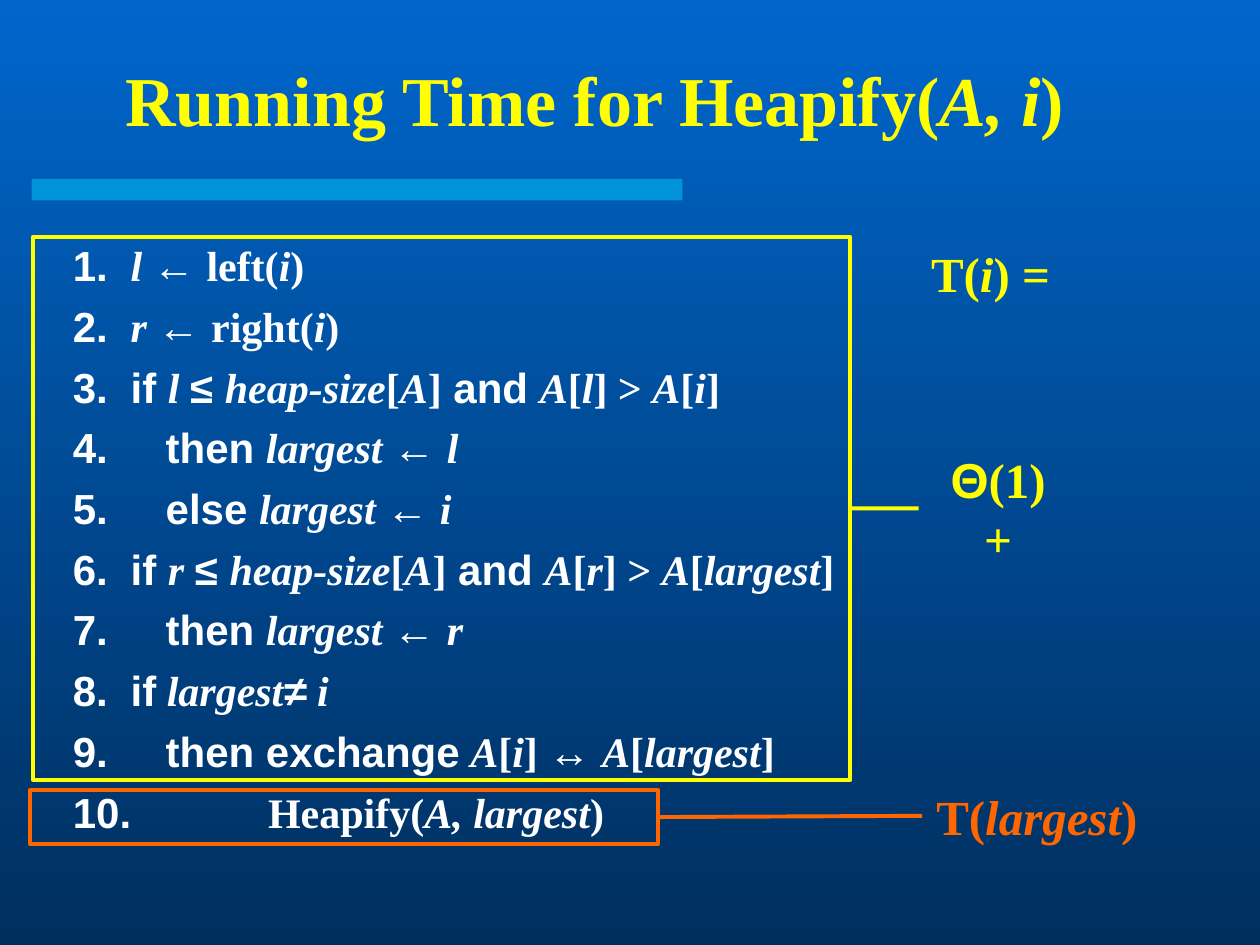
from dataclasses import dataclass

from lxml import etree
from pptx import Presentation
from pptx.dml.color import RGBColor
from pptx.enum.shapes import MSO_CONNECTOR, MSO_SHAPE
from pptx.enum.text import MSO_ANCHOR, PP_ALIGN
from pptx.oxml.ns import qn
from pptx.util import Pt

RECT = MSO_SHAPE.RECTANGLE
STRAIGHT = MSO_CONNECTOR.STRAIGHT
MIDDLE = MSO_ANCHOR.MIDDLE
TOP = MSO_ANCHOR.TOP
CENTER = PP_ALIGN.CENTER
LEFT_SIDE, RIGHT_SIDE = 1, 3

YELLOW = RGBColor(0xFF, 0xFF, 0x00)
ORANGE = RGBColor(0xFF, 0x66, 0x00)
WHITE = RGBColor(0xFF, 0xFF, 0xFF)
CYAN = RGBColor(0x00, 0xCC, 0xFF)
SKY = RGBColor(0x00, 0x66, 0xCC)
NAVY = RGBColor(0x00, 0x2F, 0x5E)

ARIAL = "Arial"
TIMES = "Times New Roman"


@dataclass(frozen=True)
class Run:
    text: str
    font: str = TIMES
    italic: bool = False


@dataclass(frozen=True)
class Box:
    left: float
    top: float
    width: float
    height: float


@dataclass(frozen=True)
class CodeLine:
    indent: float
    runs: list[Run]


@dataclass(frozen=True)
class Cost:
    frame: Box
    label: Box
    runs: list[Run]
    color: RGBColor


def kw(text: str) -> Run:
    return Run(text, ARIAL)


def var(text: str) -> Run:
    return Run(text, italic=True)


def item(array: str, index: str) -> list[Run]:
    return [var(array), Run("["), var(index), Run("]")]


def call(name: str, args: str) -> list[Run]:
    return [Run(name + "("), var(args), Run(")")]


def bound_test(number: str, child: str, rival: str) -> list[Run]:
    return [kw(f"{number}.\tif "), var(child + " "), kw("≤ "),
            *item("heap-size", "A"), kw(" and "), *item("A", child),
            Run(" > "), *item("A", rival)]


def assign(label: str, target: str, value: list[Run]) -> list[Run]:
    return [kw(label), var(target + " "), kw("← "), *value]


STEP, NESTED, DEEP = 33, 53, 111.5

CODE = [
    CodeLine(STEP, assign("1.\t", "l", call("left", "i"))),
    CodeLine(STEP, assign("2.\t", "r", call("right", "i"))),
    CodeLine(STEP, bound_test("3", "l", "i")),
    CodeLine(NESTED, assign("4.\tthen ", "largest", [var("l")])),
    CodeLine(NESTED, assign("5.\telse ", "largest", [var("i")])),
    CodeLine(STEP, bound_test("6", "r", "largest")),
    CodeLine(NESTED, assign("7.\tthen ", "largest", [var("r")])),
    CodeLine(STEP, [kw("8.\tif"), var(" largest"), Run("≠", ARIAL, True), var(" i")]),
    CodeLine(NESTED, [kw("9.\tthen exchange"), Run(" "), *item("A", "i"), Run(" "),
                      Run("↔ ", ARIAL), *item("A", "largest")]),
    CodeLine(DEEP, [kw("10.\t"), *call("Heapify", "A, largest")]),
]

COSTS = [
    Cost(Box(18.7, 135.4, 467.3, 310.3), Box(525, 270, 90.7, 41),
         [kw("Θ"), Run("(1) +")], YELLOW),
    Cost(Box(17.3, 451.4, 358.6, 31), Box(527, 445.7, 131, 41),
         call("T", "largest"), ORANGE),
]


def add_runs(p, runs: list[Run], size: float, color: RGBColor) -> None:
    for run in runs:
        r = p.add_run()
        r.text = run.text
        r.font.name = run.font
        r.font.size = Pt(size)
        r.font.bold = True
        r.font.italic = run.italic
        r.font.color.rgb = color


def add_text_box(s, box: Box, anchor):
    sp = s.shapes.add_textbox(Pt(box.left), Pt(box.top), Pt(box.width), Pt(box.height))
    sp.text_frame.word_wrap = True
    sp.text_frame.vertical_anchor = anchor
    return sp


def add_label(s, box: Box, runs: list[Run], size: float, color: RGBColor):
    sp = add_text_box(s, box, MIDDLE)
    p = sp.text_frame.paragraphs[0]
    p.alignment = CENTER
    add_runs(p, runs, size, color)
    return sp


def add_rect(s, box: Box):
    sp = s.shapes.add_shape(RECT, Pt(box.left), Pt(box.top), Pt(box.width), Pt(box.height))
    sp.shadow.inherit = False
    return sp


def add_bar(s, box: Box) -> None:
    sp = add_rect(s, box)
    sp.fill.solid()
    sp.fill.fore_color.rgb = CYAN
    sp.line.fill.background()
    clr = sp._element.spPr.find(qn("a:solidFill"))[0]
    etree.SubElement(clr, qn("a:alpha"), val="50000")


def add_code(s, box: Box, lines: list[CodeLine]) -> None:
    tf = add_text_box(s, box, TOP).text_frame
    for n, line in enumerate(lines):
        p = tf.add_paragraph() if n else tf.paragraphs[0]
        pPr = p._p.get_or_add_pPr()
        pPr.set("marL", str(Pt(line.indent)))
        pPr.set("indent", str(-Pt(line.indent)))
        p.line_spacing = Pt(28.7)
        p.space_before = Pt(6 if n else 0)
        add_runs(p, line.runs, 24, WHITE)


def add_cost(s, cost: Cost) -> None:
    frame = add_rect(s, cost.frame)
    frame.fill.background()
    label = add_label(s, cost.label, cost.runs, 28, cost.color)
    link = s.shapes.add_connector(STRAIGHT, 0, 0, 0, 0)
    link.begin_connect(frame, RIGHT_SIDE)
    link.end_connect(label, LEFT_SIDE)
    etree.SubElement(link._element.spPr, qn("a:effectLst"))
    for sp in (frame, link):
        sp.line.color.rgb = cost.color
        sp.line.width = Pt(2.25)


def set_background(s) -> None:
    fill = s.background.fill
    fill.gradient()
    fill.gradient_angle = 270
    for stop, color in zip(fill.gradient_stops, (SKY, NAVY)):
        stop.color.rgb = color


def main() -> None:
    prs = Presentation()
    prs.slide_width, prs.slide_height = Pt(720), Pt(540)
    s = prs.slides.add_slide(prs.slide_layouts[6])
    set_background(s)
    add_bar(s, Box(18, 102.3, 372, 12.2))
    add_label(s, Box(20.9, 23, 637.9, 67), call("Running Time for Heapify", "A, i"),
              40, YELLOW)
    add_code(s, Box(34.6, 133.5, 455.8, 367.2), CODE)
    for cost in COSTS:
        add_cost(s, cost)
    add_label(s, Box(524.9, 135.4, 89.3, 41), [*call("T", "i"), Run(" = ")], 28, YELLOW)
    prs.save("out.pptx")


if __name__ == "__main__":
    main()
